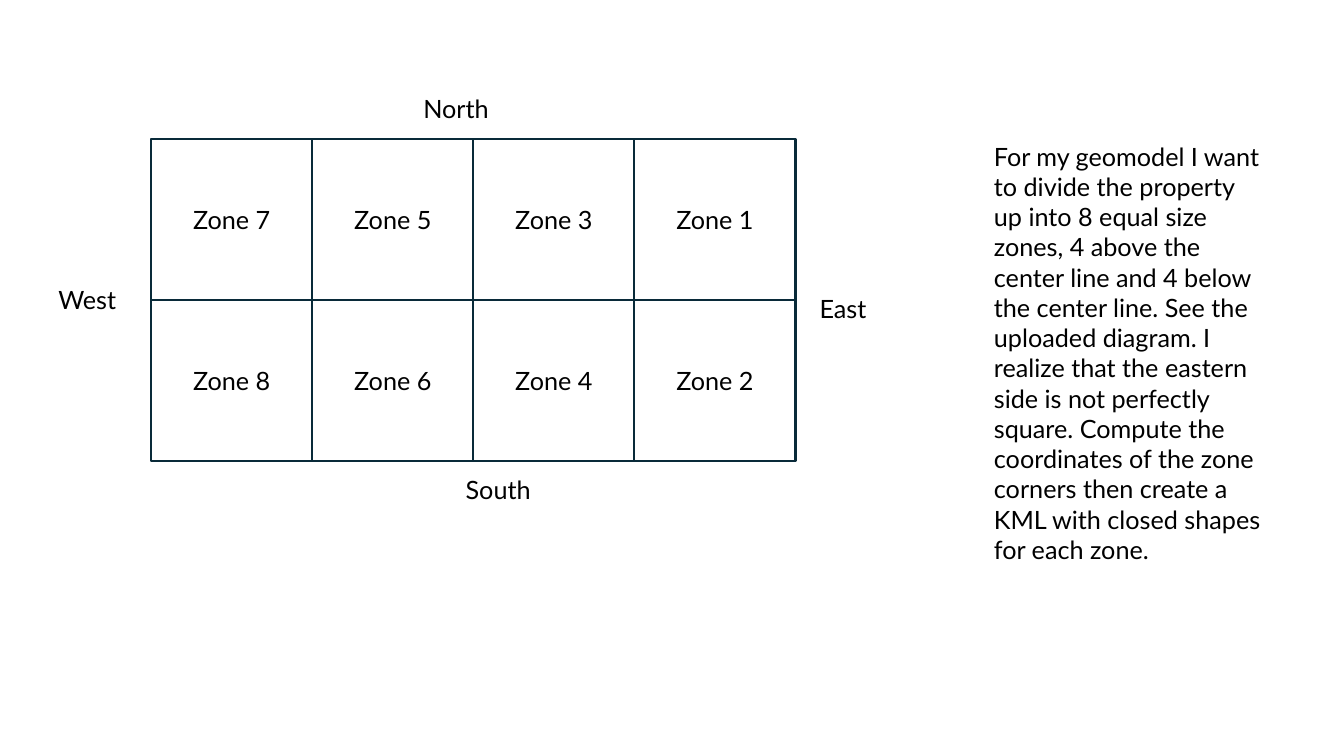
import dataclasses

import pptx
import pptx.dml.color
import pptx.enum.shapes
import pptx.enum.text
import pptx.presentation
import pptx.slide
import pptx.text.text
import pptx.util
from pptx.util import Inches

BLACK = pptx.dml.color.RGBColor(0x00, 0x00, 0x00)
NAVY = pptx.dml.color.RGBColor(0x09, 0x2A, 0x39)

ROWS = 2
COLUMNS = 4
PROPERTY_LEFT = Inches(1.5)
PROPERTY_TOP = Inches(1.38)
ZONE_SIZE = Inches(6.39) // COLUMNS


@dataclasses.dataclass(frozen=True)
class Label:
    text: str
    left: float
    top: float
    width: float = 0.97
    height: float = 0.4


REQUEST = Label(
    "For my geomodel I want to divide the property up into 8 equal size zones, "
    "4 above the center line and 4 below the center line. See the uploaded diagram. "
    "I realize that the eastern side is not perfectly square. Compute the coordinates "
    "of the zone corners then create a KML with closed shapes for each zone.",
    9.76, 1.35, 2.9, 4.34,
)
COMPASS_LABELS = [
    Label("North", 4.1, 0.88),
    Label("South", 4.52, 4.66),
    Label("West", 0.48, 2.77),
    Label("East", 8.03, 2.86),
]


def write_text(text_frame: pptx.text.text.TextFrame, text: str,
               alignment: pptx.enum.text.PP_ALIGN) -> None:
    text_frame.word_wrap = True
    paragraph = text_frame.paragraphs[0]
    paragraph.text = text
    paragraph.alignment = alignment
    paragraph.font.name = "Lato"
    paragraph.font.size = pptx.util.Pt(18)
    paragraph.font.color.rgb = BLACK


def add_label(slide: pptx.slide.Slide, label: Label) -> None:
    shape = slide.shapes.add_textbox(
        Inches(label.left), Inches(label.top), Inches(label.width), Inches(label.height))
    write_text(shape.text_frame, label.text, pptx.enum.text.PP_ALIGN.LEFT)
    shape.text_frame.auto_size = pptx.enum.text.MSO_AUTO_SIZE.SHAPE_TO_FIT_TEXT


def add_zone(slide: pptx.slide.Slide, row: int, column: int) -> None:
    shape = slide.shapes.add_shape(
        pptx.enum.shapes.MSO_SHAPE.RECTANGLE,
        PROPERTY_LEFT + column * ZONE_SIZE, PROPERTY_TOP + row * ZONE_SIZE,
        ZONE_SIZE, ZONE_SIZE)
    shape.shadow.inherit = False
    shape.fill.background()
    shape.line.color.rgb = NAVY
    shape.line.width = pptx.util.Pt(1.5)
    number = ROWS * (COLUMNS - 1 - column) + row + 1
    write_text(shape.text_frame, f"Zone {number}", pptx.enum.text.PP_ALIGN.CENTER)
    shape.text_frame.vertical_anchor = pptx.enum.text.MSO_ANCHOR.MIDDLE


def build_presentation() -> pptx.presentation.Presentation:
    presentation = pptx.Presentation()
    presentation.slide_width = Inches(13.33)
    presentation.slide_height = Inches(7.5)
    blank_layout = presentation.slide_layouts.get_by_name("Blank")
    slide = presentation.slides.add_slide(blank_layout)
    add_label(slide, REQUEST)
    for row in range(ROWS):
        for column in range(COLUMNS):
            add_zone(slide, row, column)
    for label in COMPASS_LABELS:
        add_label(slide, label)
    return presentation


if __name__ == "__main__":
    build_presentation().save("out.pptx")
